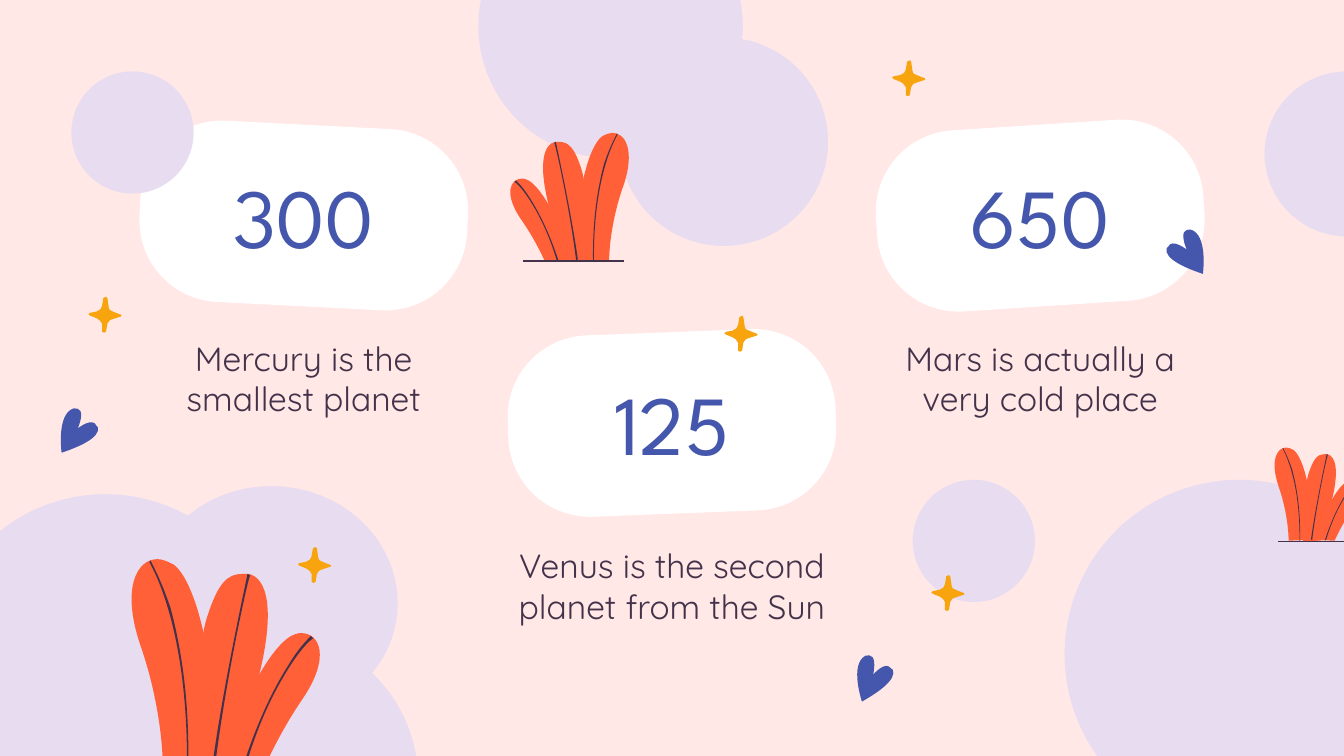
from pptx import Presentation
from pptx.dml.color import RGBColor
from pptx.enum.shapes import MSO_CONNECTOR, MSO_SHAPE
from pptx.enum.text import MSO_ANCHOR, MSO_AUTO_SIZE, PP_ALIGN
from pptx.oxml.ns import qn
from pptx.util import Cm, Pt

OVAL = MSO_SHAPE.OVAL
PILL = MSO_SHAPE.ROUNDED_RECTANGLE
STRAIGHT = MSO_CONNECTOR.STRAIGHT
MIDDLE, TOP = MSO_ANCHOR.MIDDLE, MSO_ANCHOR.TOP
CENTER = PP_ALIGN.CENTER
FIXED = MSO_AUTO_SIZE.NONE

HEX = {"bg": "FFE8E6", "lilac": "E8DCF1", "white": "FFFFFF", "blue": "4557AC",
       "plum": "43324A", "coral": "FF6038", "gold": "F8A40E"}
RGB = {name: RGBColor.from_string(code) for name, code in HEX.items()}

# Outlines in hundredths of an inch: one point is a line, three are a curve
UNIT = 0.0254
CLOUD = ("266,0 | 318,0 360,39 360,87 | 360,107 353,125 341,139 | 362,159 375,187 375,217"
         " | 375,229 373,241 369,253 | 7,253 | 3,242 0,231 0,219 | 0,193 12,170 30,154"
         " | 26,143 23,130 23,117 | 23,56 77,6 143,6 | 165,6 186,12 204,22 | 221,8 242,0 266,0")
HEART = ("27,13 | 24,6 13,15 13,15 | 13,15 17,6 15,2 | 14,0 12,0 10,0"
         " | -3,4 1,33 1,33 | 13,29 30,22 28,14")
STAR = ("14,0 | 12,1 | 11,7 | 11,9 9,10 7,11 | 2,12 | 1,12 0,14 2,14 | 7,16"
        " | 9,17 10,18 11,20 | 11,26 | 12,27 13,27 14,26 | 15,20"
        " | 16,18 17,17 18,17 | 24,15 | 26,15 26,13 24,13 | 19,11 | 17,11 16,9 16,8"
        " | 15,1")
PLANT = [
    ("coral", "134,55 | 148,55 156,73 135,104 | 122,123 113,141 107,154 | 78,153"
              " | 88,104 114,61 129,56 | 131,55 133,55 134,55"),
    ("plum", "141,57 | 143,59 | 142,59 135,65 126,79 | 117,93 104,116 93,153 | 91,153"
             " | 103,116 116,92 125,78 | 134,63 141,58 141,57"),
    ("coral", "27,0 | 31,0 35,2 39,4 | 56,16 74,85 66,153 | 31,154"
              " | 31,139 28,103 14,63 | 0,21 12,0 27,0"),
    ("plum", "22,1 | 22,2 29,13 37,37 | 43,60 51,98 50,155 | 49,155"
             " | 50,47 21,3 21,2 | 22,1"),
    ("coral", "90,11 | 92,11 93,11 95,11 | 108,14 116,36 101,93 | 93,122 88,142 84,154"
              " | 55,155 | 55,131 56,67 64,43 | 72,18 79,11 90,11"),
    ("plum", "94,11 | 96,12 | 95,12 78,88 70,153 | 68,152 | 77,88 94,12 94,11"),
]

deck = Presentation()
deck.slide_width, deck.slide_height = Cm(25.4), Cm(14.29)
slide = deck.slides.add_slide(deck.slide_layouts[5])
slide.background.fill.solid()
slide.background.fill.fore_color.rgb = RGB["bg"]
shapes = slide.shapes


def paint(shape, color):
    shape.shadow.inherit = False
    shape.fill.solid()
    shape.fill.fore_color.rgb = RGB[color]
    shape.line.fill.background()
    return shape


def trace(outline, color, x, y, wide=1, high=1):
    """Draw an outline at x, y in cm; a negative width factor mirrors it."""
    parts = [[tuple(map(int, pair.split(","))) for pair in part.split()]
             for part in outline.split("|")]
    spots = [(Cm(x + px * UNIT * wide), Cm(y + py * UNIT * high))
             for part in parts for px, py in part]
    pen = shapes.build_freeform(*spots[0])
    pen.add_line_segments(spots[1:])
    shape = pen.convert_to_shape()
    # Join each run of three line steps into one curve
    steps = iter(list(shape.element.iter(qn("a:lnTo"))))
    for part in parts[1:]:
        group = [next(steps) for _ in part]
        if len(group) == 3:
            curve = group[0].makeelement(qn("a:cubicBezTo"), {})
            group[0].addprevious(curve)
            for step in group:
                curve.append(step[0])
                step.getparent().remove(step)
    return paint(shape, color)


# Cloud and large circles
trace(CLOUD, "lilac", -1.63, 9.19)
for x, y, size in [(9.04, -2.01, 5), (11.71, 0.71, 3.94),
                   (20.12, 9.07, 6.6), (23.9, 1.35, 3.12)]:
    paint(shapes.add_shape(OVAL, Cm(x), Cm(y), Cm(size), Cm(size)), "lilac")

# Number cards with captions
BOX = {"word_wrap": True, "auto_size": FIXED, "margin_left": Cm(0.25),
       "margin_right": Cm(0.25), "margin_top": Cm(0.25), "margin_bottom": Cm(0.25)}
BIG = {"name": "League Spartan", "size": Pt(45)}
SMALL = {"name": "Quicksand", "size": Pt(18)}
CARDS = [
    (2.44, 2.84, 2.9, "300", "Mercury is the smallest planet"),
    (9.4, 6.76, -2.2, "125", "Venus is the second planet from the Sun"),
    (16.36, 2.84, -3.7, "650", "Mars is actually a very cold place"),
]
title = shapes.title
for x, y, turn, number, note in CARDS:
    pill = shapes.add_shape(PILL, Cm(x + 0.2), Cm(y - 0.48), Cm(6.2), Cm(3.43))
    pill.adjustments[0] = 0.45
    pill.rotation = turn
    paint(pill, "white")
    for text, top, height, anchor, style, color in [
            (number, y, 2.44, MIDDLE, BIG, "blue"),
            (note, y + 3.3, 2.06, TOP, SMALL, "plum")]:
        place = Cm(x), Cm(top), Cm(6.6), Cm(height)
        if text == CARDS[0][3]:
            box = title
            box.left, box.top, box.width, box.height = place
            box.element.getparent().append(box.element)  # bring above the pill
        else:
            box = shapes.add_textbox(*place)
        frame = box.text_frame
        for key, value in BOX.items():
            setattr(frame, key, value)
        frame.vertical_anchor = anchor
        frame.text = text
        line = frame.paragraphs[0]
        line.alignment = CENTER
        font = line.runs[0].font
        for key, value in style.items():
            setattr(font, key, value)
        font.color.rgb = RGB[color]

# Small circles
for x, y in [(17.25, 9.07), (1.35, 1.35)]:
    paint(shapes.add_shape(OVAL, Cm(x), Cm(y), Cm(2.31), Cm(2.31)), "lilac")

# Plants
for x, y, wide, high in [(2.29, 10.57, 1, 1), (12.01, 2.51, -0.63, 0.62),
                         (24, 8.46, 0.45, 0.45)]:
    for color, outline in PLANT:
        trace(outline, color, x, y, wide, high)

# Ground lines
for left, right, y in [(9.88, 11.79, 4.93), (24.16, 25.55, 10.24)]:
    ground = shapes.add_connector(STRAIGHT, Cm(left), Cm(y), Cm(right), Cm(y))
    ground.line.color.rgb = RGB["plum"]
    ground.line.width = Pt(0.75)
    props = ground.element.spPr
    props.append(props.makeelement(qn("a:effectLst"), {}))

# Hearts
for x, y, wide, turn in [(1.14, 7.72, 1, 0), (16.18, 12.37, 1, -11), (22.76, 4.34, -1, 0)]:
    trace(HEART, "blue", x, y, wide).rotation = turn

# Stars
for x, y in [(17.58, 10.87), (1.65, 5.61), (16.84, 1.14), (13.67, 5.97), (5.61, 10.34)]:
    trace(STAR, "gold", x, y)

deck.save("out.pptx")
